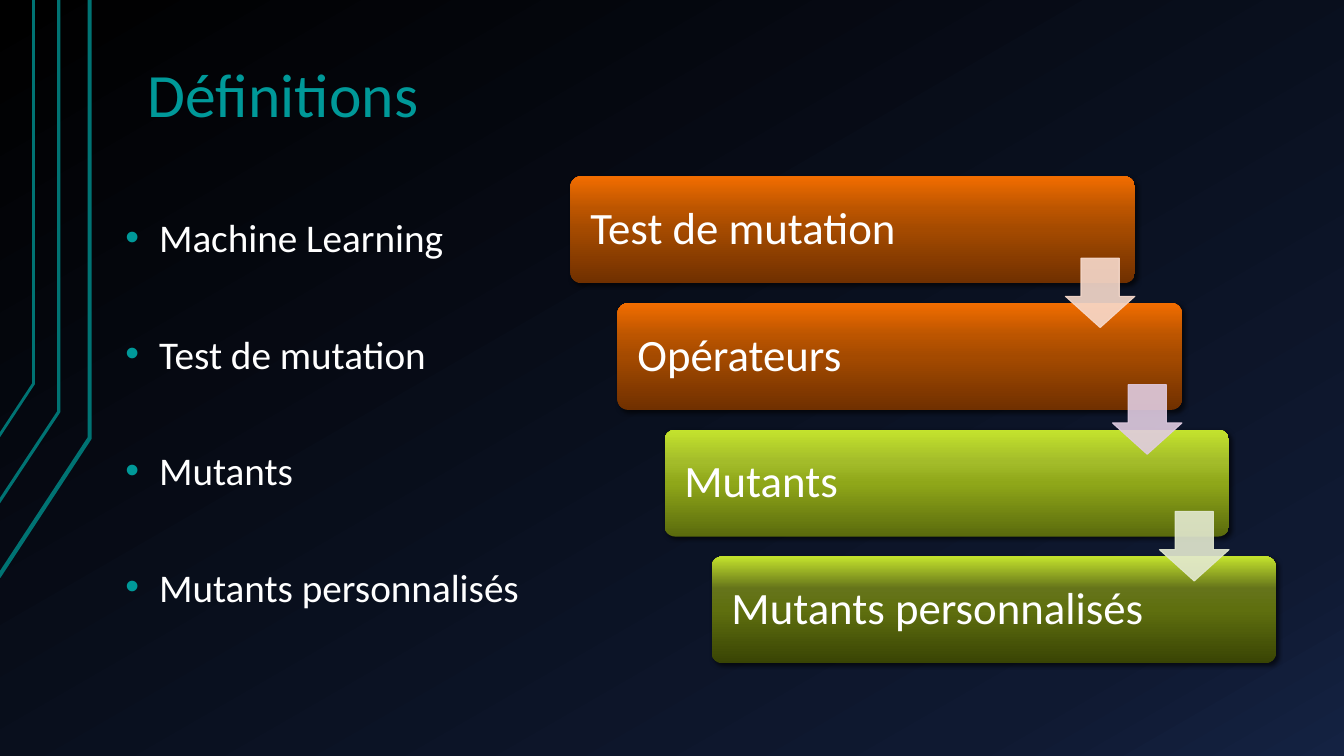
from dataclasses import dataclass

from lxml import etree
from pptx import Presentation
from pptx.dml.color import RGBColor
from pptx.enum import shapes, text
from pptx.oxml.ns import qn
from pptx.util import Pt

Stops = tuple[tuple[int, str], ...]


@dataclass(frozen=True)
class Theme:
    font: str = "Calibri"
    title_size: float = 44
    bullet_size: float = 28
    step_size: float = 32
    accent: str = "009999"
    trace: str = "007373"
    text: str = "FFFFFF"
    shadow: str = "000000"
    background: Stops = ((0, "000000"), (85, "0F1931"), (100, "142242"))
    orange: Stops = ((0, "703000"), (50, "A44A00"), (70, "BC5500"), (100, "F26D00"))
    lime: Stops = ((0, "5A6A0D"), (50, "8FA719"), (70, "A3BC2A"), (100, "C4E32D"))
    olive: Stops = ((0, "394404"), (50, "5F6F0F"), (70, "65741A"), (100, "C4E32D"))


THEME = Theme()


@dataclass(frozen=True)
class Trace:
    points: tuple[tuple[float, float], ...]
    width: float


@dataclass(frozen=True)
class Step:
    label: str
    stops: Stops
    arrow: str | None = None  # colour of the arrow to the next step


TRACES = (
    Trace(((-0.7, 412), (63.5, 313), (63.5, 0)), 3),
    Trace(((-1.4, 359), (41.8, 294), (41.8, 0)), 2.25),
    Trace(((-0.7, 312.5), (24.5, 274.5), (24.5, 0)), 2),
)
BULLETS = ("Machine Learning", "Test de mutation", "Mutants", "Mutants personnalisés")
STEPS = (
    Step("Test de mutation", THEME.orange, "F7DACC"),
    Step("Opérateurs", THEME.orange, "E0CCE1"),
    Step("Mutants", THEME.lime, "E3E9D0"),
    Step("Mutants personnalisés", THEME.olive),
)
STEP_LEFT, STEP_TOP = 407.5, 126
STEP_WIDTH, STEP_HEIGHT = 403.2, 76.3
SHIFT_X, SHIFT_Y = 33.6, 90.5
ARROW_X, ARROW_Y, ARROW_SIZE = 353.5, 58.3, 49.7


def rgb(value: str) -> RGBColor:
    return RGBColor.from_string(value)


def add_color(parent, value: str, alpha: int | None = None) -> None:
    color = etree.SubElement(parent, qn("a:srgbClr"), val=value)
    if alpha is not None:
        etree.SubElement(color, qn("a:alpha"), val=str(alpha * 1000))


def set_gradient(fill, element, stops: Stops, angle: float) -> None:
    """Fill with any number of stops; the angle runs anticlockwise."""
    fill.gradient()
    fill.gradient_angle = angle
    stop_list = next(element.iter(qn("a:gsLst")))
    for old in list(stop_list):
        stop_list.remove(old)
    for position, value in stops:
        stop = etree.SubElement(stop_list, qn("a:gs"), pos=str(position * 1000))
        add_color(stop, value)


def add_shadow(shape) -> None:
    shape.shadow.inherit = False
    effects = next(shape.element.iter(qn("a:effectLst")))
    shadow = etree.SubElement(effects, qn("a:outerShdw"), blurRad=str(Pt(3)),
                              dist=str(Pt(2)), dir=str(45 * 60000), rotWithShape="0")
    add_color(shadow, THEME.shadow, 60)


def add_bullet(para) -> None:
    props = para._p.get_or_add_pPr()
    props.set("marL", str(Pt(24)))
    props.set("indent", str(Pt(-24)))
    add_color(etree.SubElement(props, qn("a:buClr")), THEME.accent)
    etree.SubElement(props, qn("a:buFont"), typeface="Arial")
    etree.SubElement(props, qn("a:buChar"), char="•")


def set_frame(frame, anchor, side: float, edge: float) -> None:
    frame.word_wrap = True
    frame.auto_size = text.MSO_AUTO_SIZE.NONE
    frame.vertical_anchor = anchor
    frame.margin_left = frame.margin_right = Pt(side)
    frame.margin_top = frame.margin_bottom = Pt(edge)


def write(para, words: str, size: float, color: str, spacing: float) -> None:
    para.alignment = text.PP_ALIGN.LEFT
    para.line_spacing = spacing
    span = para.add_run()
    span.text = words
    span.font.name = THEME.font
    span.font.size = Pt(size)
    span.font.color.rgb = rgb(color)


def add_trace(page, trace: Trace) -> None:
    start, *others = trace.points
    builder = page.shapes.build_freeform(*start, scale=Pt(1))
    builder.add_line_segments(others, close=False)
    outline = builder.convert_to_shape()
    outline.shadow.inherit = False
    outline.fill.background()
    outline.line.color.rgb = rgb(THEME.trace)
    outline.line.width = Pt(trace.width)


def add_title(page, words: str) -> None:
    title = page.shapes.title
    title.left, title.top, title.width, title.height = Pt(96), Pt(1.5), Pt(816), Pt(96.5)
    set_frame(title.text_frame, text.MSO_ANCHOR.BOTTOM, 9.6, 4.8)
    write(title.text_frame.paragraphs[0], words, THEME.title_size, THEME.accent, 0.9)


def add_bullets(page) -> None:
    box = page.shapes.add_textbox(Pt(80), Pt(114), Pt(400), Pt(351))
    frame = box.text_frame
    set_frame(frame, text.MSO_ANCHOR.TOP, 9.6, 4.8)
    for index, words in enumerate(BULLETS):
        para = frame.add_paragraph() if index else frame.paragraphs[0]
        write(para, words, THEME.bullet_size, THEME.text, 2)
        para.space_before = Pt(16)
        add_bullet(para)


def add_step(page, step: Step, left: float, top: float) -> None:
    box = page.shapes.add_shape(shapes.MSO_SHAPE.ROUNDED_RECTANGLE,
                                Pt(left), Pt(top), Pt(STEP_WIDTH), Pt(STEP_HEIGHT))
    box.adjustments[0] = 0.1
    set_gradient(box.fill, box.element, step.stops, 90)
    box.line.fill.background()
    add_shadow(box)
    set_frame(box.text_frame, text.MSO_ANCHOR.MIDDLE, 12, 9.6)
    write(box.text_frame.paragraphs[0], step.label, THEME.step_size, THEME.text, 0.9)


def add_arrow(page, color: str, left: float, top: float) -> None:
    arrow = page.shapes.add_shape(shapes.MSO_SHAPE.DOWN_ARROW,
                                  Pt(left), Pt(top), Pt(ARROW_SIZE), Pt(ARROW_SIZE))
    arrow.adjustments[0], arrow.adjustments[1] = 0.55, 0.45
    arrow.shadow.inherit = False
    arrow.fill.solid()
    arrow.fill.fore_color.rgb = rgb(color)
    arrow.line.color.rgb = rgb(color)
    arrow.line.width = Pt(0.75)
    for tint in arrow.element.spPr.iter(qn("a:srgbClr")):
        etree.SubElement(tint, qn("a:alpha"), val="90000")


def main() -> None:
    deck = Presentation()
    deck.slide_width, deck.slide_height = Pt(960), Pt(540)
    page = deck.slides.add_slide(deck.slide_layouts.get_by_name("Title Only"))
    set_gradient(page.background.fill, page.element, THEME.background, 300)
    for trace in TRACES:
        add_trace(page, trace)
    add_title(page, "Définitions")
    add_bullets(page)
    places = [(STEP_LEFT + i * SHIFT_X, STEP_TOP + i * SHIFT_Y) for i in range(len(STEPS))]
    for step, (left, top) in zip(STEPS, places):
        add_step(page, step, left, top)
    for step, (left, top) in zip(STEPS, places):
        if step.arrow:
            add_arrow(page, step.arrow, left + ARROW_X, top + ARROW_Y)
    deck.save("out.pptx")


if __name__ == "__main__":
    main()
